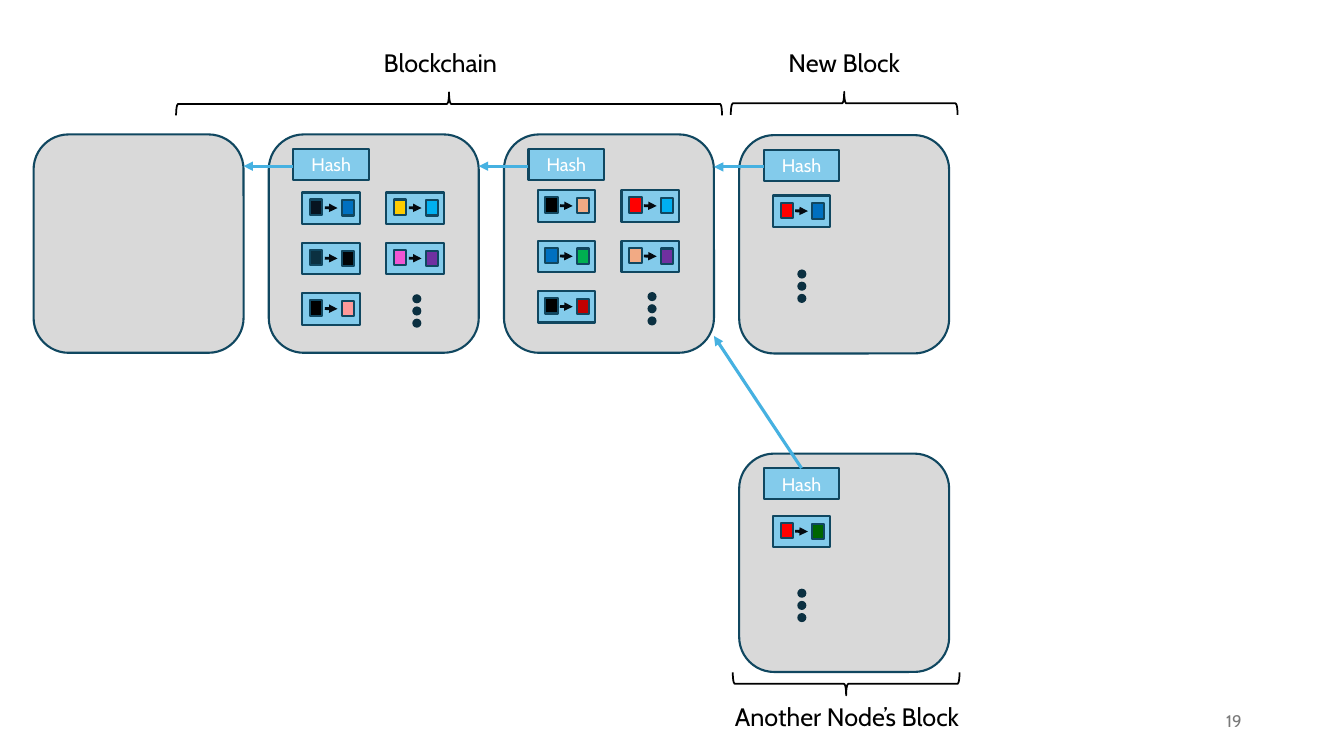
from dataclasses import dataclass
from lxml.etree import SubElement
from pptx import Presentation
from pptx.dml.color import RGBColor
from pptx.enum.shapes import MSO_CONNECTOR, MSO_SHAPE
from pptx.enum.text import MSO_ANCHOR, PP_ALIGN
from pptx.oxml.ns import qn
from pptx.util import Pt


@dataclass(frozen=True)
class Theme:
    font: str = "Cabin"
    label_size: float = 18
    hash_size: float = 13
    number_size: float = 12
    text: str = "000000"
    hash_text: str = "FFFFFF"
    number: str = "797979"
    block: str = "D9D9D9"
    panel: str = "83CBEB"
    outline: str = "104760"
    dot: str = "0B3041"
    link: str = "46B1E1"
    transfer: str = "040A10"


THEME = Theme()

# Each block: left, top, transactions (left, top, payer, payee), dots (left, top).
# Positions inside a block are measured from its corner.
BLOCKS = [
    {"at": (24, 96), "transactions": [], "dots": None},
    {"at": (192, 96), "dots": (102.5, 114.2), "transactions": [
        (24, 41.5, "071420", "0070C0"), (24, 77.5, "0B3041", "010406"),
        (24, 113.5, "000000", "FF9999"), (84, 41.5, "FFCC00", "00B0F0"),
        (84, 77.5, "F155D3", "7030A0")]},
    {"at": (360, 96), "dots": (102.5, 112.6), "transactions": [
        (24, 40, "000000", "F2AA84"), (24, 76, "0070C0", "00B050"),
        (24, 112, "000000", "C00000"), (84, 40, "FF0000", "00B0F0"),
        (84, 76, "F2AA84", "7030A0")]},
    {"at": (528, 96.5), "dots": (41.5, 96), "transactions": [
        (24, 43.2, "FF0000", "0070C0")]},
    {"at": (528, 324), "dots": (41.5, 96.5), "transactions": [
        (24, 44.6, "FF0000", "006600")]},
]
# Text, left, top, width, alignment
LABELS = [
    ("Blockchain", 267, 30, 133, PP_ALIGN.LEFT),
    ("New Block", 522, 30, 162, PP_ALIGN.CENTER),
    ("Another Node’s Block", 495.5, 497.5, 219, PP_ALIGN.CENTER),
]
# Centre x, centre y, span, rotation
BRACES = [(320.8, 74.2, 390, 270), (603, 73.8, 162, 270), (604.4, 488.5, 162, 90)]

BLOCK_SIZE = (150, 156)
HASH_OFFSET, HASH_SIZE = (17.5, 10.4), (54, 22.4)
PANEL_SIZE, COIN_SIZE = (41, 22.4), (8.7, 11)
DOT_SIZE, DOT_STEP = 6.5, 8.7
BRACE_DEPTH = 16.5
BLOCK_GAP, LINK_DROP = 18, 22.7
FORK_END = (510, 240)


def colour(value):
    return RGBColor.from_string(value)


def add_box(shapes, kind, left, top, size, fill=None, outline=THEME.outline, width=1.5):
    box = shapes.add_shape(kind, Pt(left), Pt(top), Pt(size[0]), Pt(size[1]))
    box.shadow.inherit = False
    if fill:
        box.fill.solid()
        box.fill.fore_color.rgb = colour(fill)
    else:
        box.fill.background()
    if outline:
        box.line.color.rgb = colour(outline)
        box.line.width = Pt(width)
    else:
        box.line.fill.background()
    return box


def add_arrow(shapes, start, end, line_colour, width):
    arrow = shapes.add_connector(MSO_CONNECTOR.STRAIGHT, *map(Pt, (*start, *end)))
    arrow.line.color.rgb = colour(line_colour)
    arrow.line.width = Pt(width)
    SubElement(arrow.line._get_or_add_ln(), qn("a:tailEnd"), type="triangle")
    SubElement(arrow._element.spPr, qn("a:effectLst"))


def write(box, text, size, text_colour, alignment):
    paragraph = box.text_frame.paragraphs[0]
    paragraph.text = text
    paragraph.alignment = alignment
    font = paragraph.runs[0].font
    font.name, font.size, font.color.rgb = THEME.font, Pt(size), colour(text_colour)


def add_label(page, text, left, top, width, size, text_colour, alignment):
    box = page.shapes.add_textbox(Pt(left), Pt(top), Pt(width), Pt(29))
    box.text_frame.word_wrap = True
    write(box, text, size, text_colour, alignment)
    return box


def add_hash(page, left, top):
    box = add_box(page.shapes, MSO_SHAPE.RECTANGLE, left, top, HASH_SIZE, THEME.panel)
    frame = box.text_frame
    frame.margin_left = frame.margin_right = 0
    frame.vertical_anchor = MSO_ANCHOR.MIDDLE
    write(box, "Hash", THEME.hash_size, THEME.hash_text, PP_ALIGN.CENTER)


def add_transaction(page, left, top, payer, payee):
    shapes = page.shapes.add_group_shape().shapes
    add_box(shapes, MSO_SHAPE.RECTANGLE, left, top, PANEL_SIZE, THEME.panel)
    add_box(shapes, MSO_SHAPE.RECTANGLE, left + 5.6, top + 5, COIN_SIZE, payer)
    add_arrow(shapes, (left + 16, top + 10.9), (left + 25.1, top + 11.1), THEME.transfer, 2)
    add_box(shapes, MSO_SHAPE.RECTANGLE, left + 28, top + 5.5, COIN_SIZE, payee)


def add_dots(page, left, top):
    shapes = page.shapes.add_group_shape().shapes
    for index in range(3):
        add_box(shapes, MSO_SHAPE.OVAL, left, top + index * DOT_STEP,
                (DOT_SIZE, DOT_SIZE), THEME.dot, outline=None)


def add_block(page, block):
    x, y = block["at"]
    add_box(page.shapes, MSO_SHAPE.ROUNDED_RECTANGLE, x, y, BLOCK_SIZE, THEME.block)
    if not block["transactions"]:
        return
    hash_left, hash_top = x + HASH_OFFSET[0], y + HASH_OFFSET[1]
    add_hash(page, hash_left, hash_top)
    if y < FORK_END[1]:
        start, end = (hash_left, y + LINK_DROP), (x - BLOCK_GAP, y + LINK_DROP)
    else:
        start, end = (hash_left + HASH_SIZE[0] / 2, hash_top), FORK_END
    add_arrow(page.shapes, start, end, THEME.link, 2.25)
    for left, top, payer, payee in block["transactions"]:
        add_transaction(page, x + left, y + top, payer, payee)
    add_dots(page, x + block["dots"][0], y + block["dots"][1])


def add_brace(page, centre_x, centre_y, span, rotation):
    brace = add_box(page.shapes, MSO_SHAPE.RIGHT_BRACE, centre_x - BRACE_DEPTH / 2,
                    centre_y - span / 2, (BRACE_DEPTH, span),
                    outline=THEME.text, width=1.25)
    brace.rotation = rotation


def main():
    deck = Presentation()
    deck.slide_width, deck.slide_height = Pt(960), Pt(540)
    page = deck.slides.add_slide(deck.slide_layouts[6])
    for block in BLOCKS:
        add_block(page, block)
    for brace in BRACES:
        add_brace(page, *brace)
    for text, left, top, width, alignment in LABELS:
        add_label(page, text, left, top, width, THEME.label_size, THEME.text, alignment)
    number = add_label(page, "19", 678, 500.5, 216, THEME.number_size,
                       THEME.number, PP_ALIGN.RIGHT)
    number.text_frame.vertical_anchor = MSO_ANCHOR.MIDDLE
    deck.save("out.pptx")


if __name__ == "__main__":
    main()
